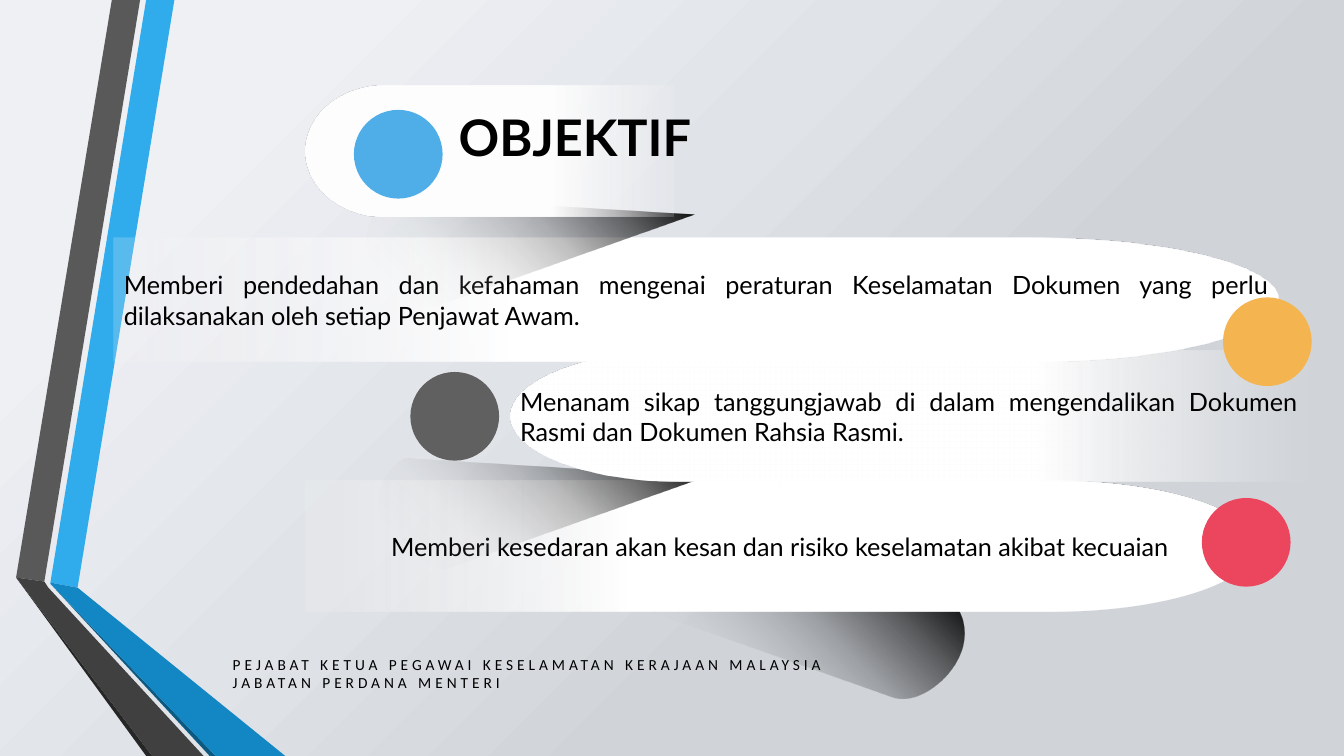
from dataclasses import dataclass
from math import cos, pi, sin

from lxml.etree import SubElement
from pptx import Presentation
from pptx.dml.color import RGBColor
from pptx.enum.shapes import MSO_SHAPE as Shape
from pptx.enum.text import MSO_ANCHOR as Anchor, PP_ALIGN as Align
from pptx.oxml.ns import qn
from pptx.util import Inches, Pt


@dataclass(frozen=True)
class Theme:
    """Colours, gradient stops, fonts and type sizes of the slide."""
    ink: str = "000000"
    blue: str = "4FADE8"
    amber: str = "F4B551"
    grey: str = "606060"
    red: str = "EC465F"
    font: str = "Lato"
    footer_font: str = "Calibri"
    title_size: int = 36
    body_size: int = 18
    footer_size: int = 11
    footer_spacing: int = 280
    disc: float = 0.88
    backdrop: tuple = ((0, "EFF0F4", 100), (17, "EFF0F4", 100), (42, "E0E3E8", 100),
                       (65, "D0D4D9", 100), (100, "D0D4D9", 100))
    shade: tuple = ((0, "000000", 100), (21, "000000", 57), (41, "000000", 24),
                    (73, "C9C9C9", 10), (88, "C9C9C9", 0), (100, "C9C9C9", 0))


THEME = Theme()

RIBBONS = (
    ("30ACEC", ((0.5, 5.78), (0.77, 5.83), (1.73, 0), (1.45, 0))),
    ("595959", ((1.39, 0), (1.11, 0), (0.16, 5.73), (0.44, 5.77))),
    ("262626", ((0.16, 5.73), (1.45, 7.5), (1.51, 7.5))),
    ("0C5A82", ((0.5, 5.79), (2.08, 7.5), (2.14, 7.5))),
    ("1287C3", ((0.5, 5.79), (2.14, 7.5), (2.83, 7.5), (0.77, 5.83), (0.5, 5.78))),
    ("404040", ((2.02, 7.5), (0.48, 5.83), (0.44, 5.77), (0.16, 5.73), (1.51, 7.5))),
)


def set_gradient(owner, fill, stops, angle=None, focus=None):
    """Fill with a linear gradient, or a circular one around a focus corner."""
    fill.gradient()
    gradient = owner.element.find(".//" + qn("a:gradFill"))
    for child in list(gradient):
        gradient.remove(child)
    stop_list = SubElement(gradient, qn("a:gsLst"))
    for position, color, alpha in stops:
        stop = SubElement(stop_list, qn("a:gs"), pos=str(position * 1000))
        tint = SubElement(stop, qn("a:srgbClr"), val=color)
        if alpha < 100:
            SubElement(tint, qn("a:alpha"), val=str(alpha * 1000))
    if focus is None:
        SubElement(gradient, qn("a:lin"), ang=str(angle * 60000), scaled="0")
    else:
        circle = SubElement(gradient, qn("a:path"), path="circle")
        edges = {side: str(share * 1000) for side, share in zip("ltrb", focus)}
        SubElement(circle, qn("a:fillToRect"), **edges)


def finish(shape, color=None):
    """Remove outline and shadow, and fill with a plain colour if given."""
    shape.shadow.inherit = False
    shape.line.fill.background()
    if color:
        shape.fill.solid()
        shape.fill.fore_color.rgb = RGBColor.from_string(color)
    return shape


def add_outline(page, points, color=None):
    """Draw a closed outline through points given in inches."""
    start, *rest = [(Inches(x), Inches(y)) for x, y in points]
    builder = page.shapes.build_freeform(*start, scale=1.0)
    builder.add_line_segments(rest, close=True)
    return finish(builder.convert_to_shape(), color)


def add_shade(page, tip_x, tip_y, direction):
    """Draw a folded shadow that spreads from its tip, right (1) or left (-1)."""
    corners = ((3, -0.18), (3.63, 0.29), (2.93, 1), (2.56, 0.9))
    points = [(tip_x, tip_y)]
    for step in range(25):
        t = step / 24
        weights = ((1 - t) ** 3, 3 * t * (1 - t) ** 2, 3 * t * t * (1 - t), t ** 3)
        dx, dy = (sum(w * c[axis] for w, c in zip(weights, corners)) for axis in (0, 1))
        points.append((tip_x + direction * dx, tip_y + dy))
    shade = add_outline(page, points)
    set_gradient(shade, shade.fill, THEME.shade, focus=(100, 0, 0, 100))


def add_banner(page, flat_x, top, width, height, radius, direction, fade,
               text=None, align=None):
    """Draw a banner, flat at flat_x and rounded at its far end, fading to flat."""
    middle = top + height / 2
    arc_x = flat_x + direction * (width - radius)
    points = [(flat_x, top)]
    for step in range(49):
        turn = pi * step / 48
        points.append((arc_x + direction * radius * sin(turn),
                       middle - height / 2 * cos(turn)))
    points.append((flat_x, top + height))
    banner = add_outline(page, points)
    position, color, alpha = fade
    stops = [(share, "FFFFFF", 100) for share in (0, 33, 66)]
    stops += [(position, color, alpha), (100, color, alpha)]
    set_gradient(banner, banner.fill, stops, angle=180 if direction > 0 else 0)
    if text:
        frame = banner.text_frame
        frame.vertical_anchor = Anchor.MIDDLE
        write(frame, [text], THEME.font, THEME.body_size, align)


def add_disc(page, left, top, color):
    """Draw a marker disc."""
    size = Inches(THEME.disc)
    finish(page.shapes.add_shape(Shape.OVAL, Inches(left), Inches(top), size, size), color)


def write(frame, lines, font, size, align=Align.LEFT, bold=False, spacing=None):
    """Write one paragraph for each line."""
    frame.word_wrap = True
    for index, line in enumerate(lines):
        para = frame.add_paragraph() if index else frame.paragraphs[0]
        para.text = line
        para.alignment = align
        para.font.name = font
        para.font.size = Pt(size)
        para.font.bold = bold
        para.font.color.rgb = RGBColor.from_string(THEME.ink)
        if spacing:
            para._p.pPr.find(qn("a:defRPr")).set("spc", str(spacing))


def add_text(page, left, top, width, height, lines, font, size, **style):
    """Add a text box."""
    box = page.shapes.add_textbox(Inches(left), Inches(top), Inches(width), Inches(height))
    write(box.text_frame, lines, font, size, **style)


def main():
    """Build the slide and save it."""
    deck = Presentation()
    deck.slide_width, deck.slide_height = Inches(13.33), Inches(7.5)
    page = deck.slides.add_slide(deck.slide_layouts[6])
    set_gradient(page, page.background.fill, THEME.backdrop, focus=(0, 0, 100, 100))
    for color, points in RIBBONS:
        add_outline(page, points, color)

    add_shade(page, 6.31, 6.02, 1)
    add_banner(page, 3.03, 4.77, 9.41, 1.3, 2.01, 1, (98, "EFEFEF", 27),
               "Memberi kesedaran akan kesan dan risiko keselamatan akibat kecuaian",
               Align.CENTER)
    add_disc(page, 11.92, 4.94, THEME.red)

    add_shade(page, 7.01, 4.73, -1)
    add_banner(page, 12.97, 3.48, 7.91, 1.3, 1.69, -1, (98, "EFEFEF", 5),
               "Menanam sikap tanggungjawab di dalam mengendalikan Dokumen Rasmi "
               "dan Dokumen Rahsia Rasmi.", Align.JUSTIFY)
    add_disc(page, 4.07, 3.69, THEME.grey)

    add_banner(page, 1.13, 2.36, 11.55, 1.23, 2.47, 1, (98, "F4F4F6", 20),
               "Memberi pendedahan dan kefahaman mengenai peraturan Keselamatan Dokumen "
               "yang perlu dilaksanakan oleh setiap Penjawat Awam.", Align.JUSTIFY)
    add_disc(page, 12.13, 2.95, THEME.amber)

    add_shade(page, 6.89, 2.13, -1)
    add_banner(page, 6.68, 0.85, 3.65, 1.3, 0.78, -1, (99, "F4F4F6", 19))
    add_disc(page, 3.51, 1.09, THEME.blue)

    add_text(page, 4.45, 1, 3.42, 0.73, ["OBJEKTIF"], THEME.font, THEME.title_size, bold=True)
    add_text(page, 2.21, 6.45, 7.61, 0.47,
             ["PEJABAT KETUA PEGAWAI KESELAMATAN KERAJAAN MALAYSIA", "JABATAN PERDANA MENTERI"],
             THEME.footer_font, THEME.footer_size, spacing=THEME.footer_spacing)
    deck.save("out.pptx")


if __name__ == "__main__":
    main()
